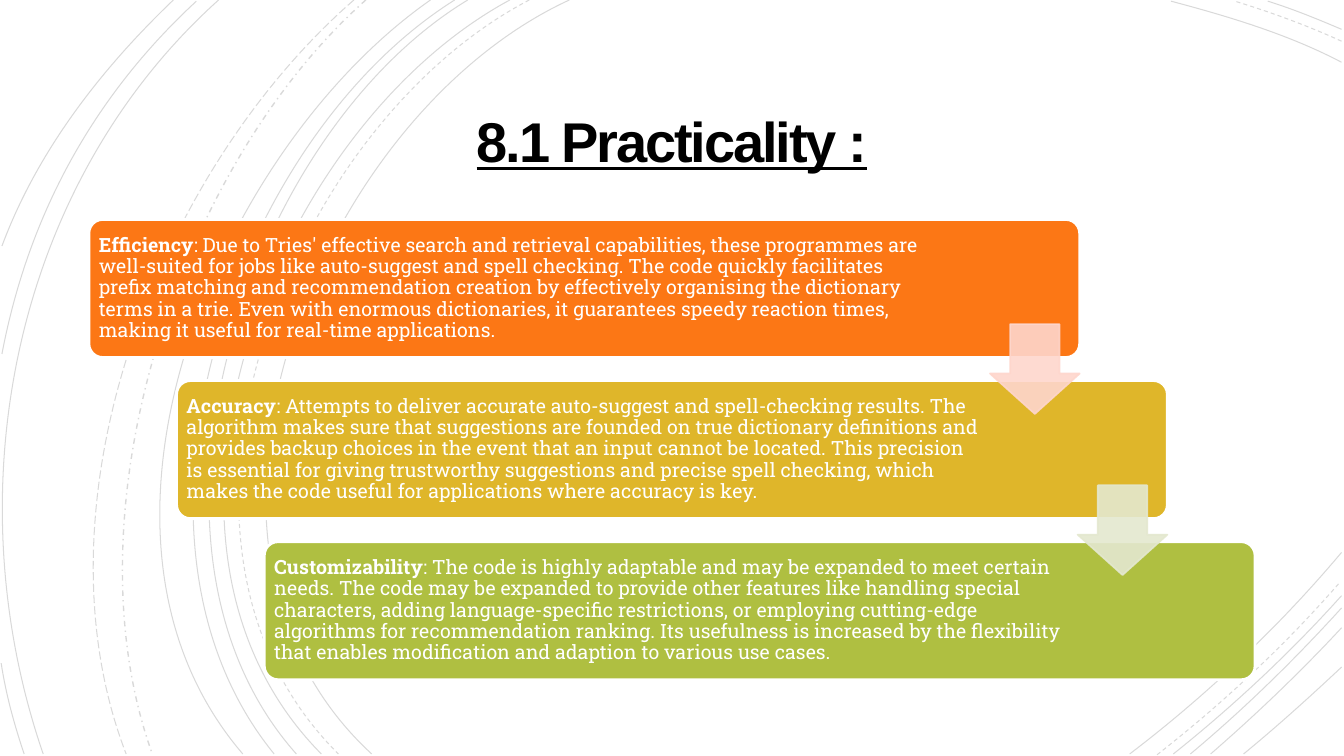
from lxml import etree
from pptx import Presentation
from pptx.dml.color import RGBColor
from pptx.enum.dml import MSO_LINE
from pptx.enum.shapes import MSO_SHAPE
from pptx.enum.text import MSO_ANCHOR, MSO_AUTO_SIZE, PP_ALIGN
from pptx.oxml.ns import qn
from pptx.util import Cm, Pt

RECTANGLE, ROUNDED = MSO_SHAPE.RECTANGLE, MSO_SHAPE.ROUNDED_RECTANGLE
DOWN_ARROW = MSO_SHAPE.DOWN_ARROW
SOLID, DASH = MSO_LINE.SOLID, MSO_LINE.DASH
DASH_DOT, LONG_DASH = MSO_LINE.DASH_DOT, MSO_LINE.LONG_DASH
LEFT, CENTER = PP_ALIGN.LEFT, PP_ALIGN.CENTER
MIDDLE, NO_AUTOFIT = MSO_ANCHOR.MIDDLE, MSO_AUTO_SIZE.NONE
TITLE_ONLY = 5


def paint(fill, color, opacity=100):
    fill.solid()
    fill.fore_color.rgb = RGBColor.from_string(color)
    if opacity < 100:
        # The color element is the first child of the solid fill.
        alpha = etree.SubElement(fill.fore_color._xFill[0], qn("a:alpha"))
        alpha.set("val", str(opacity * 1000))


def write(frame, *runs, size=14, font="Roboto Slab", color="FFFFFF", underline=False,
          spacing=0, align=LEFT, line_spacing=0.9, margin=0.15):
    """Fill a text frame with one paragraph of (text, bold) runs."""
    frame.word_wrap = True
    frame.auto_size = NO_AUTOFIT
    frame.vertical_anchor = MIDDLE
    frame.margin_left = frame.margin_right = Cm(margin)
    frame.margin_top = frame.margin_bottom = Cm(margin)
    paragraph = frame.paragraphs[0]
    paragraph.alignment = align
    paragraph.line_spacing = line_spacing
    for text, bold in runs:
        run = paragraph.add_run()
        run.text = text
        run.font.name, run.font.size = font, Pt(size)
        run.font.bold, run.font.underline = bold, underline
        paint(run.font.fill, color)
        if spacing:
            run.font._element.set("spc", str(int(spacing * 100)))


presentation = Presentation()
presentation.slide_width, presentation.slide_height = Cm(33.87), Cm(19.05)
slide = presentation.slides.add_slide(presentation.slide_layouts[TITLE_ONLY])

backdrop = slide.shapes.add_shape(RECTANGLE, 0, 0, presentation.slide_width,
                                  presentation.slide_height)
backdrop.shadow.inherit = False
backdrop.line.fill.background()
paint(backdrop.fill, "FFFFFF")

# Background arcs: dash, then start, two control points and end in cm.
arcs = [
    (SOLID, (14.35, 0), (8, 2.92), (3.63, 13.72), (9.37, 19)),
    (SOLID, (33.81, 1.57), (32.46, 0.86), (30.94, 0.41), (29.51, 0.03)),
    (SOLID, (28.47, 19), (30.4, 17.53), (32.23, 15.8), (33.81, 13.92)),
    (DASH, (13.34, 0), (7.24, 3.18), (3.12, 13.64), (8.53, 19)),
    (DASH, (33.81, 1.04), (32.94, 0.64), (32, 0.3), (31.12, 0.03)),
    (DASH, (29.16, 19.02), (30.81, 17.73), (32.39, 16.26), (33.78, 14.66)),
    (SOLID, (12.85, 0), (6.86, 3.23), (2.79, 13.64), (8.1, 19)),
    (SOLID, (33.81, 0.74), (33.2, 0.48), (32.59, 0.23), (31.95, 0.03)),
    (SOLID, (29.57, 19), (31.06, 17.81), (32.51, 16.46), (33.81, 15.01)),
    (SOLID, (11.79, 0), (6.2, 3.38), (2.79, 13.74), (7.47, 19)),
    (SOLID, (30, 19), (31.34, 17.88), (32.61, 16.64), (33.81, 15.32)),
    (SOLID, (11.46, 0), (5.87, 3.51), (2.46, 13.54), (6.91, 19)),
    (SOLID, (30.51, 19), (31.65, 18.01), (32.77, 16.94), (33.81, 15.82)),
    (SOLID, (10.85, 0), (5.51, 3.73), (1.35, 13.44), (6.12, 19)),
    (SOLID, (31.34, 19), (32.18, 18.31), (32.99, 17.58), (33.81, 16.81)),
    (DASH_DOT, (9.22, 0), (4.47, 4.22), (1.65, 12.93), (3.84, 19)),
    (LONG_DASH, (8.92, 0), (3.99, 4.29), (0.74, 12.67), (3.18, 19)),
    (SOLID, (5.51, 0), (0.28, 4.7), (-1.17, 12.45), (1.09, 19)),
    (SOLID, (4.95, 0.03), (2.34, 2.44), (0.71, 5.44), (0.05, 8.92)),
    (SOLID, (0.03, 16.71), (0.15, 17.5), (0.36, 18.26), (0.61, 19)),
    (SOLID, (4.37, 0), (2.54, 1.75), (0.94, 3.81), (0.05, 6.2)),
]
arc_group = slide.shapes.add_group_shape()
for dash, *controls in arcs:
    start, *others = [(Cm(x), Cm(y)) for x, y in controls]
    builder = arc_group.shapes.build_freeform(*start)
    builder.add_line_segments(others, close=False)
    arc = builder.convert_to_shape()
    # Merge the three straight segments into one cubic curve.
    outline = next(arc._element.iter(qn("a:moveTo"))).getparent()
    curve = etree.SubElement(outline, qn("a:cubicBezTo"))
    for segment in outline.findall(qn("a:lnTo")):
        curve.append(segment[0])
        outline.remove(segment)
    arc.shadow.inherit = False
    arc.fill.background()
    paint(arc.line.fill, "000000", opacity=15)
    arc.line.width = Pt(1 if dash == DASH_DOT else 0.75)
    arc.line.dash_style = dash

title = slide.shapes.title
title.left, title.top, title.width, title.height = Cm(4.88), Cm(2.21), Cm(24.1), Cm(2.92)
write(title.text_frame, ("8.1 Practicality :", True), size=40, font="Arial", color="000000",
      underline=True, spacing=-1.5, align=CENTER, line_spacing=0.85, margin=0.64)
# Bring the title in front of the backdrop.
slide.shapes._spTree.append(title._element)

# Staircase of cards: heading, text, fill, text width in cm.
cards = [
    ("Efficiency", ": Due to Tries' effective search and retrieval capabilities, these programmes "
     "are well-suited for jobs like auto-suggest and spell checking. The code quickly facilitates "
     "prefix matching and recommendation creation by effectively organising the dictionary terms "
     "in a trie. Even with enormous dictionaries, it guarantees speedy reaction times, making it "
     "useful for real-time applications.", "FC7715", 21.21),
    ("Accuracy", ": Attempts to deliver accurate auto-suggest and spell-checking results. The "
     "algorithm makes sure that suggestions are founded on true dictionary definitions and "
     "provides backup choices in the event that an input cannot be located. This precision is "
     "essential for giving trustworthy suggestions and precise spell checking, which makes the "
     "code useful for applications where accuracy is key.", "DFB62A", 20.29),
    ("Customizability", ": The code is highly adaptable and may be expanded to meet certain needs. "
     "The code may be expanded to provide other features like handling special characters, adding "
     "language-specific restrictions, or employing cutting-edge algorithms for recommendation "
     "ranking. Its usefulness is increased by the flexibility that enables modification and "
     "adaption to various use cases.", "AFBF41", 20.29),
]
STEP_X, STEP_Y = 2.21, 4.06
for index, (heading, text, color, text_width) in enumerate(cards):
    left, top = 2.24 + index * STEP_X, 5.53 + index * STEP_Y
    card = slide.shapes.add_shape(ROUNDED, Cm(left), Cm(top), Cm(24.97), Cm(3.48))
    card.adjustments[0] = 0.1
    card.shadow.inherit = False
    paint(card.fill, color)
    paint(card.line.fill, "FFFFFF")
    card.line.width = Pt(2)
    text_box = slide.shapes.add_textbox(Cm(left + 0.1), Cm(top + 0.1), Cm(text_width), Cm(3.28))
    write(text_box.text_frame, (heading, True), (text, False))

for index, color in enumerate(("FED6CC", "E4E8CF")):
    arrow = slide.shapes.add_shape(DOWN_ARROW, Cm(24.95 + index * STEP_X),
                                   Cm(8.17 + index * STEP_Y), Cm(2.26), Cm(2.26))
    arrow.adjustments[0], arrow.adjustments[1] = 0.55, 0.45
    arrow.shadow.inherit = False
    paint(arrow.fill, color, opacity=90)
    paint(arrow.line.fill, color, opacity=90)
    arrow.line.width = Pt(1.25)

presentation.save("out.pptx")
